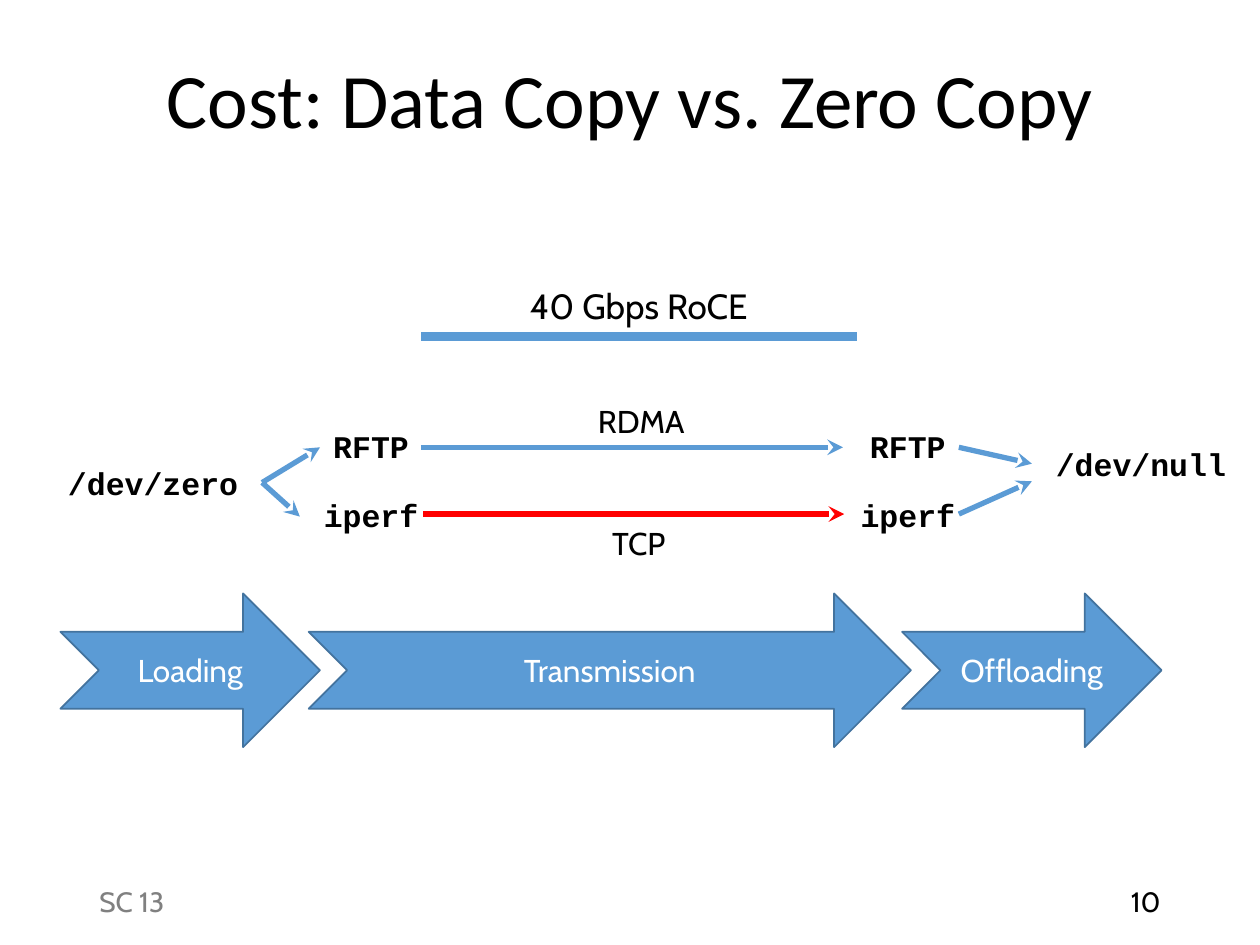
"""Build the slide comparing the cost of data copy with zero copy."""
import pptx
import pptx.dml.color
import pptx.enum.shapes
import pptx.enum.text
import pptx.oxml.ns
import pptx.util
from lxml import etree

ALIGN = pptx.enum.text.PP_ALIGN
ANCHOR = pptx.enum.text.MSO_ANCHOR
BLUE, EDGE, RED, BLACK, GREY, WHITE = "5B9BD5", "43739E", "FF0000", "000000", "808080", "FFFFFF"

prs = pptx.Presentation()
prs.slide_width, prs.slide_height = pptx.util.Inches(10), pptx.util.Inches(7.5)
s = prs.slides.add_slide(prs.slide_layouts[6])
col, row = prs.slide_width / 100, prs.slide_height / 75


def color(value):
    return pptx.dml.color.RGBColor.from_string(value)


def write(sp, text, size, font="Cabin", fill=BLACK, align=ALIGN.CENTER, anchor=ANCHOR.MIDDLE):
    tf = sp.text_frame
    tf.text = text
    tf.word_wrap = True
    tf.vertical_anchor = anchor
    p = tf.paragraphs[0]
    p.alignment = align
    r = p.runs[0]
    r.font.name, r.font.size = font, pptx.util.Pt(size)
    r.font.bold = font == "Courier New"
    r.font.color.rgb = color(fill)
    return p


left, right = 20.8, 63.4
top, bottom = 33.4, 38.9
middle, wide, narrow = 33.4, 34.6, 17.3

texts = [
    ("Cost: Data Copy vs. Zero Copy", 6.9, 1, 86.2, 14.5, 44, "Calibri", BLACK, ALIGN.CENTER, ANCHOR.MIDDLE),
    ("SC 13", 6.9, 69.5, 33.8, 4, 16, "Cabin", GREY, ALIGN.LEFT, ANCHOR.MIDDLE),
    ("10", 70.6, 69.5, 22.5, 4, 16, "Cabin", BLACK, ALIGN.RIGHT, ANCHOR.MIDDLE),
]
for text, x, y, size in [
    ("40 Gbps RoCE", middle, 22.1, 20),
    ("RDMA", middle + 0.2, 31.4, 18),
    ("TCP", middle, 41.1, 18),
]:
    texts.append((text, x, y, wide, size / 4.5, size, "Cabin", BLACK, ALIGN.CENTER, ANCHOR.TOP))
for text, x, y in [
    ("/dev/zero", 3.5, 36.3),
    ("/dev/null", 81.9, 34.8),
    ("RFTP", left, top),
    ("RFTP", right, top),
    ("iperf", left, bottom),
    ("iperf", right, bottom),
]:
    texts.append((text, x, y, narrow, 4, 18, "Courier New", BLACK, ALIGN.CENTER, ANCHOR.TOP))

for text, x, y, w, h, *style in texts:
    sp = s.shapes.add_textbox(int(x * col), int(y * row), int(w * col), int(h * row))
    p = write(sp, text, *style)
    if style[0] == 44:
        p.line_spacing = 0.9

for x1, y1, x2, y2, stroke, width, head in [
    (68, 26.7, middle, 26.7, BLUE, 5, False),
    (left, 38.3, 25.4, 35.5, BLUE, 3, True),
    (left, 38.3, 23.8, 41, BLUE, 3, True),
    (middle, 35.5, 66.9, 35.5, BLUE, 3, True),
    (middle + 0.2, 40.8, 67, 40.8, RED, 3, True),
    (76.1, 40.8, 81.9, 38.2, BLUE, 3, True),
    (76.1, 35.5, 81.9, 36.8, BLUE, 3, True),
]:
    line = s.shapes.add_connector(
        pptx.enum.shapes.MSO_CONNECTOR.STRAIGHT,
        int(x1 * col), int(y1 * row), int(x2 * col), int(y2 * row),
    )
    line.line.color.rgb = color(stroke)
    line.line.width = pptx.util.Pt(width)
    if head:
        etree.SubElement(line.line._get_or_add_ln(), pptx.oxml.ns.qn("a:tailEnd"), type="stealth")
    etree.SubElement(line._element.spPr, pptx.oxml.ns.qn("a:effectLst"))

for text, x, w in [("Loading", 4.8, 20.6), ("Transmission", 24.5, 47.8), ("Offloading", 71.6, 20.6)]:
    sp = s.shapes.add_shape(
        pptx.enum.shapes.MSO_SHAPE.NOTCHED_RIGHT_ARROW,
        int(x * col), int(47.1 * row), int(w * col), int(12.2 * row),
    )
    sp.shadow.inherit = False
    sp.fill.solid()
    sp.fill.fore_color.rgb = color(BLUE)
    sp.line.color.rgb = color(EDGE)
    sp.line.width = pptx.util.Pt(1)
    write(sp, text, 18, fill=WHITE)

prs.save("out.pptx")
